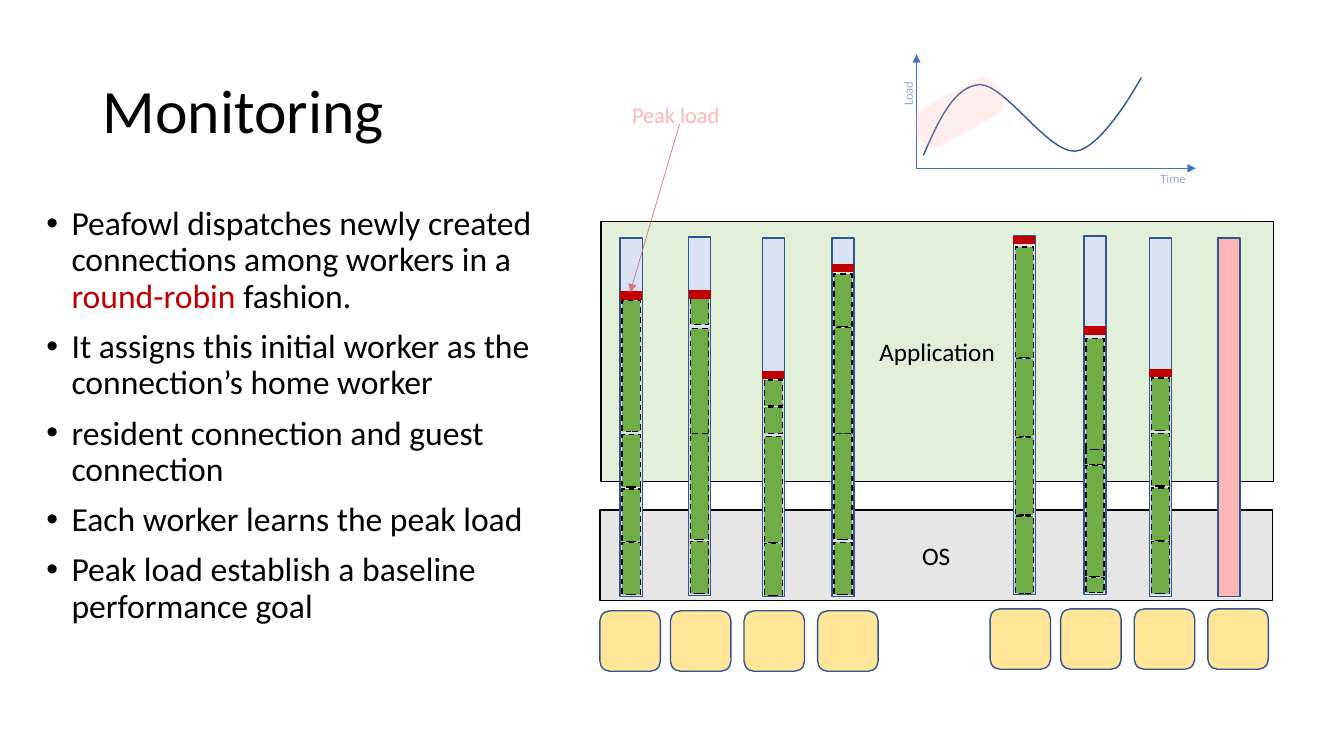
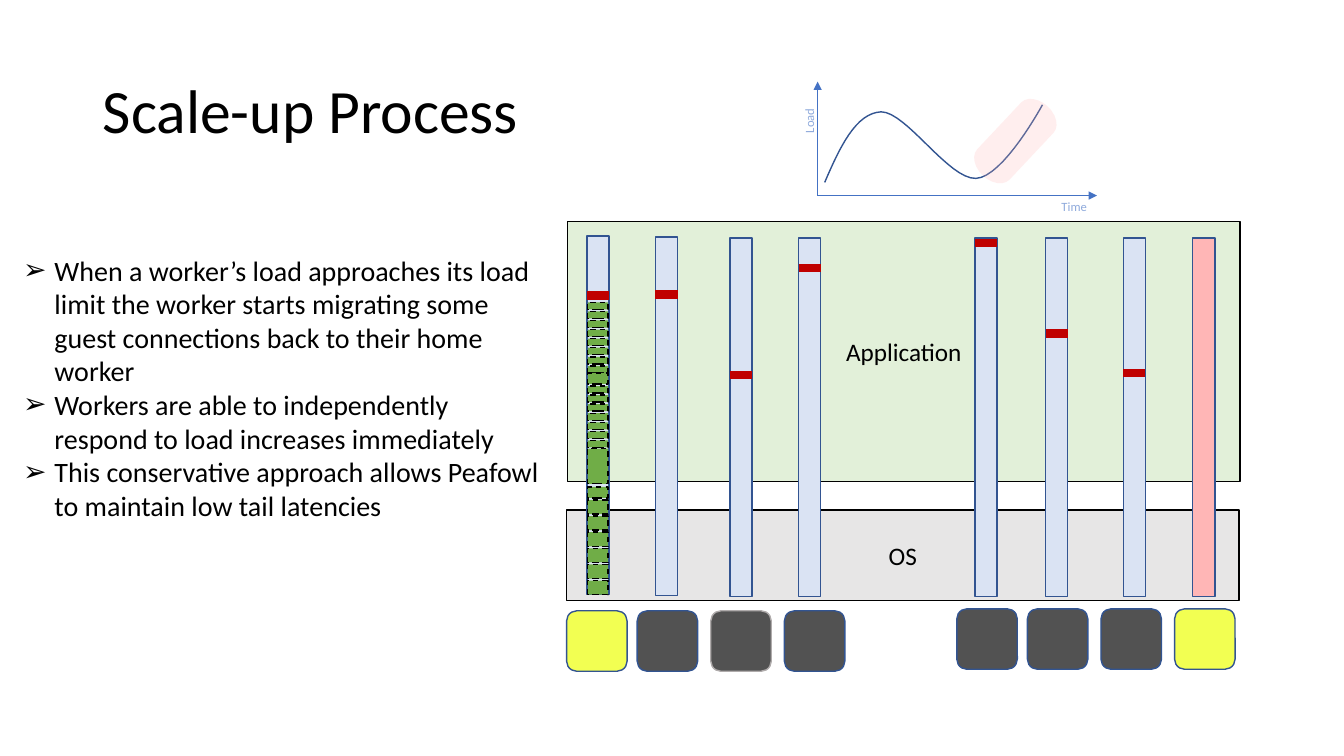
from lxml import etree
from pptx import Presentation
from pptx.dml.color import RGBColor
from pptx.enum.dml import MSO_LINE
from pptx.enum.shapes import MSO_CONNECTOR, MSO_SHAPE
from pptx.enum.text import MSO_ANCHOR, MSO_AUTO_SIZE, PP_ALIGN
from pptx.oxml.ns import qn
from pptx.util import Inches, Pt

RECTANGLE = MSO_SHAPE.RECTANGLE
ROUNDED = MSO_SHAPE.ROUNDED_RECTANGLE
TERMINATOR = MSO_SHAPE.FLOWCHART_TERMINATOR
STRAIGHT = MSO_CONNECTOR.STRAIGHT
DASH = MSO_LINE.DASH
TOP, MIDDLE = MSO_ANCHOR.TOP, MSO_ANCHOR.MIDDLE
LEFT, CENTER = PP_ALIGN.LEFT, PP_ALIGN.CENTER
NO_AUTOFIT = MSO_AUTO_SIZE.NONE

FONT = "Calibri"
BLACK, RED, PINK, OUTLINE = "000000", "C00000", "FFB6B6", "325491"
OS_GRAY, APPLICATION_GREEN = "E7E6E6", "E2F0D9"
BAR_BLUE, BLOCK_GREEN = "DAE3F3", "70AD47"
AXIS_BLUE, LABEL_BLUE, ARROW_PINK = "4472C4", "8FAADC", "D47685"
CORE_TAN, CORE_YELLOW, CORE_DARK, CORE_EDGE = "FFE699", "F2FF52", "525252", "AFABAB"

# Geometry that both slides share, in inches
CORE_OFFSETS = [0, 0.7, 1.43, 2.16, 3.87, 4.57, 5.3, 6.03]
CORE_TOPS = [6.06] * 4 + [6.04] * 4
BAR_WIDTH, BAR_HEIGHT = 0.22, 3.56
# Load curve: cubic segments relative to the origin of the axes
CURVE = [
    [(0.07, -0.13), (0.22, -0.48), (0.38, -0.82), (0.63, -0.83)],
    [(0.63, -0.83), (0.88, -0.83), (1.3, -0.16), (1.57, -0.17)],
    [(1.57, -0.17), (1.84, -0.18), (2.23, -0.9), (2.23, -0.9)],
]
CURVE_STEPS = 16

SLIDES = [
    {
        "title": "Monitoring",
        "body": "Peafowl dispatches newly created connections among workers in a "
                "round-robin fashion.\n"
                "It assigns this initial worker as the connection’s home worker\n"
                "resident connection and guest connection\n"
                "Each worker learns the peak load\n"
                "Peak load establish a baseline performance goal",
        "body_box": (0.36, 2, 5.07, 4.76),
        "body_format": {"size": 24, "bullet": "•", "indent": 0.25, "before": 10,
                        "spacing": 0.9, "highlight": "round-robin"},
        "left": 5.95,
        "core_fills": [CORE_TAN] * 8,
        "core_lines": [OUTLINE] * 8,
        "bars": [(6.15, 2.36), (6.83, 2.35), (7.56, 2.36), (8.25, 2.36),
                 (10.05, 2.34), (10.75, 2.34), (11.4, 2.36), (12.08, 2.36)],
        "peaks": [2.93, 2.92, 3.72, 2.66, 2.38, 3.28, 3.7],
        # Connections of each worker: (top, height)
        "blocks": [
            [(2.98, 1.3), (4.31, 0.52), (4.85, 0.52), (5.38, 0.52)],
            [(2.96, 0.26), (3.26, 1.05), (4.3, 1.05), (5.37, 0.52)],
            [(3.77, 0.26), (4.04, 0.26), (4.33, 1.05), (5.39, 0.52)],
            [(2.72, 0.52), (3.25, 1.05), (4.3, 1.05), (5.38, 0.52)],
            [(2.45, 1.1), (3.56, 0.77), (4.34, 0.77), (5.12, 0.77)],
            [(3.36, 1.1), (4.46, 0.15), (4.62, 1.1), (5.73, 0.15)],
            [(3.75, 0.52), (4.3, 0.52), (4.84, 0.52), (5.37, 0.52)],
        ],
        "block_inset": 0.02,
        "block_width": 0.18,
        "origin": (9.09, 1.67),
        "phase": (9.04, 0.91, 0.94, 0.41, 150.9),
        "labels": [("Peak load", (6.17, 0.95, 1.08, 0.37), 16, PINK, 0)],
        "lines": [((6.74, 1.23), (6.25, 2.9), ARROW_PINK, 0.5, True)],
    },
    {
        "title": "Scale-up Process",
        "body": "When a worker’s load approaches its load limit the worker starts "
                "migrating some guest connections back to their home worker\n"
                "Workers are able to independently respond to load increases immediately\n"
                "This conservative approach allows Peafowl to maintain low tail latencies",
        "body_box": (0.13, 2.46, 5.35, 3.1),
        "body_format": {"size": 20, "bullet": "➢", "indent": 0.31},
        "left": 5.62,
        "core_fills": [CORE_YELLOW] + [CORE_DARK] * 6 + [CORE_YELLOW],
        "core_lines": [OUTLINE] * 2 + [CORE_EDGE] + [OUTLINE] * 5,
        "bars": [(5.82, 2.34), (6.5, 2.35), (7.24, 2.36), (7.92, 2.36),
                 (9.67, 2.36), (10.37, 2.36), (11.14, 2.36), (11.83, 2.36)],
        "peaks": [2.93, 2.92, 3.72, 2.66, 2.41, 3.31, 3.7],
        "blocks": [
            [(3 + 0.09 * row, 0.07) for row in range(8)] + [(3.7, 0.11)]
            + [(3.83 + 0.09 * row, 0.07) for row in range(7)]
            + [(4.45, 0.35), (4.83, 0.11)]
            + [(4.96 + 0.16 * row, 0.14) for row in range(6)],
        ],
        "block_inset": 0.01,
        "block_width": 0.2,
        "origin": (8.11, 1.94),
        "phase": (9.6, 1.18, 0.94, 0.44, 133.2),
        "labels": [],
        "lines": [],
    },
]


def write_text(frame, text, size, color=BLACK, align=LEFT, anchor=TOP, wrap=True,
               bullet=None, indent=0, before=0, spacing=1, highlight=None):
    frame.word_wrap = wrap
    frame.auto_size = NO_AUTOFIT
    frame.vertical_anchor = anchor
    for index, line in enumerate(text.split("\n")):
        paragraph = frame.add_paragraph() if index else frame.paragraphs[0]
        if bullet:
            properties = paragraph._p.get_or_add_pPr()
            properties.set("marL", str(Inches(indent)))
            properties.set("indent", str(-Inches(indent)))
            etree.SubElement(properties, qn("a:buFont")).set("typeface", "Arial")
            etree.SubElement(properties, qn("a:buChar")).set("char", bullet)
        paragraph.alignment = align
        paragraph.line_spacing = spacing
        paragraph.space_before = Pt(before if index else 0)
        # Only the highlighted words of a line are red
        parts = line.partition(highlight) if highlight else (line,)
        for part in filter(None, parts):
            run = paragraph.add_run()
            run.text = part
            run.font.name = FONT
            run.font.size = Pt(size)
            run.font.color.rgb = RGBColor.from_string(RED if part == highlight else color)


def draw_shape(slide, kind, box, fill, line=None, dash=None):
    shape = slide.shapes.add_shape(kind, *map(Inches, box))
    shape.shadow.inherit = False
    shape.fill.solid()
    shape.fill.fore_color.rgb = RGBColor.from_string(fill)
    if line:
        shape.line.color.rgb = RGBColor.from_string(line)
        shape.line.width = Pt(1)
        shape.line.dash_style = dash
    else:
        shape.line.fill.background()
    return shape


presentation = Presentation()
presentation.slide_width = Inches(13.33)
presentation.slide_height = Inches(7.5)

for content in SLIDES:
    slide = presentation.slides.add_slide(presentation.slide_layouts[1])
    left = content["left"]
    bars = content["bars"]
    origin_x, origin_y = content["origin"]

    # Title and list
    title, body = slide.shapes.title, slide.placeholders[1]
    for placeholder, box in [(title, (0.92, 0.4, 11.5, 1.45)), (body, content["body_box"])]:
        (placeholder.left, placeholder.top,
         placeholder.width, placeholder.height) = map(Inches, box)
    write_text(title.text_frame, content["title"], 44, anchor=MIDDLE, spacing=0.9)
    write_text(body.text_frame, content["body"], **content["body_format"])

    # Operating system and application panels
    for text, box, fill in [("OS", (left, 5.06, 6.67, 0.9), OS_GRAY),
                            ("Application", (left + 0.01, 2.2, 6.67, 2.58), APPLICATION_GREEN)]:
        panel = draw_shape(slide, RECTANGLE, box, fill, BLACK)
        write_text(panel.text_frame, text, 18, align=CENTER, anchor=MIDDLE)

    # Processor cores
    for offset, top, fill, line in zip(CORE_OFFSETS, CORE_TOPS,
                                       content["core_fills"], content["core_lines"]):
        draw_shape(slide, ROUNDED, (left + offset, top, 0.6, 0.6), fill, line)

    # Worker bars, the last one set apart in pink
    for bar_left, top in bars:
        fill = PINK if (bar_left, top) == bars[-1] else BAR_BLUE
        draw_shape(slide, RECTANGLE, (bar_left, top, BAR_WIDTH, BAR_HEIGHT), fill, OUTLINE)

    # Connections inside the bars
    for (bar_left, _), blocks in zip(bars, content["blocks"]):
        for top, height in blocks:
            box = (bar_left + content["block_inset"], top, content["block_width"], height)
            draw_shape(slide, RECTANGLE, box, BLOCK_GREEN, BLACK, DASH)

    # Peak marks, axes and arrows
    lines = [((bar_left, peak), (bar_left + BAR_WIDTH, peak), RED, 6, False)
             for (bar_left, _), peak in zip(bars, content["peaks"])]
    lines += [((origin_x, origin_y), (origin_x + 2.77, origin_y), AXIS_BLUE, 0.5, True),
              ((origin_x, origin_y), (origin_x, origin_y - 1.13), AXIS_BLUE, 0.5, True)]
    for start, end, color, width, arrow in lines + content["lines"]:
        connector = slide.shapes.add_connector(STRAIGHT, *map(Inches, start + end))
        connector.line.color.rgb = RGBColor.from_string(color)
        connector.line.width = Pt(width)
        if arrow:
            etree.SubElement(connector.line._get_or_add_ln(), qn("a:tailEnd")).set("type", "triangle")
        etree.SubElement(connector._element.spPr, qn("a:effectLst"))

    # Load curve, sampled along its cubic segments
    points = []
    for segment in CURVE:
        for step in range(CURVE_STEPS + 1):
            t = step / CURVE_STEPS
            weights = [(1 - t) ** 3, 3 * t * (1 - t) ** 2, 3 * t ** 2 * (1 - t), t ** 3]
            x, y = (sum(weight * value for weight, value in zip(weights, values))
                    for values in zip(*segment))
            points.append((Inches(origin_x + x), Inches(origin_y + y)))
    builder = slide.shapes.build_freeform(*points[0])
    builder.add_line_segments(points[1:], close=False)
    curve = builder.convert_to_shape()
    curve.shadow.inherit = False
    curve.fill.background()
    curve.line.color.rgb = RGBColor.from_string(OUTLINE)
    curve.line.width = Pt(1)

    # Labels
    labels = [("Load", (origin_x - 0.31, origin_y - 0.87, 0.45, 0.25), 9, LABEL_BLUE, 270),
              ("Time", (origin_x + 2.32, origin_y - 0.02, 0.46, 0.25), 9, LABEL_BLUE, 0)]
    for text, box, size, color, rotation in labels + content["labels"]:
        label = slide.shapes.add_textbox(*map(Inches, box))
        label.rotation = rotation
        write_text(label.text_frame, text, size, color, wrap=False)

    # Translucent mark over the current phase of the curve
    *box, rotation = content["phase"]
    phase = draw_shape(slide, TERMINATOR, box, PINK)
    phase.rotation = rotation
    phase_color = phase._element.spPr.find(qn("a:solidFill")).find(qn("a:srgbClr"))
    etree.SubElement(phase_color, qn("a:alpha")).set("val", "22000")

presentation.save("out.pptx")
